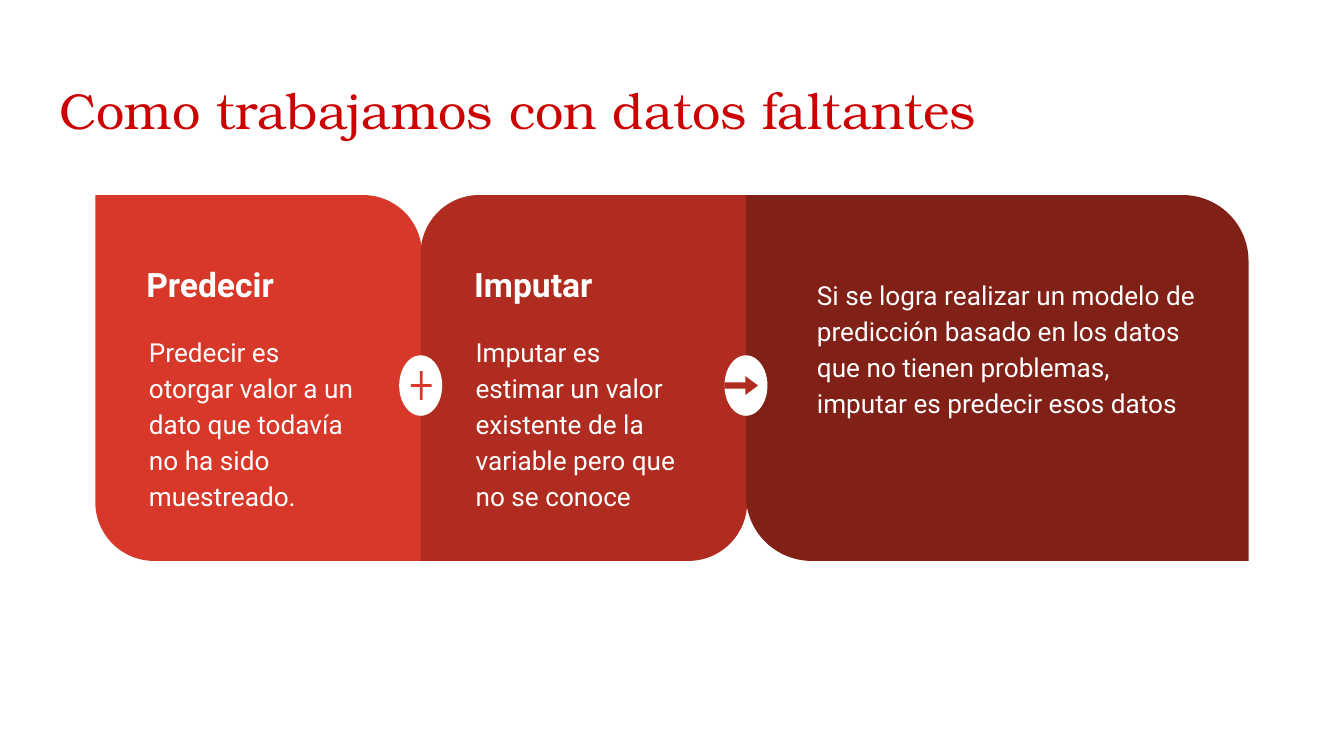
from pptx import Presentation
from pptx import util as u
from pptx.dml.color import RGBColor
from pptx.enum import shapes, text

COLORS = {"title": "CC0000", "predict": "D83829", "impute": "B02C20",
          "result": "802017", "white": "FFFFFF"}
W = u.Inches(10)
H = W * 9 // 16
CX, CY = W / 100, H / 100
LEFT, TOP, COL, ROW = 7.1, 25.8, 24.2, 48.4
KIND = shapes.MSO_SHAPE

prs = Presentation()
prs.slide_width, prs.slide_height = W, H
s = prs.slides.add_slide(prs.slide_layouts[5])


def add_shape(kind, x, y, w, h, color, adj=()):
    sp = s.shapes.add_shape(kind, int(x * CX), int(y * CY), int(w * CX), int(h * CY))
    sp.shadow.inherit = False
    sp.fill.solid()
    sp.fill.fore_color.rgb = RGBColor.from_string(COLORS[color])
    sp.line.fill.background()
    for i, value in enumerate(adj):
        sp.adjustments[i] = value


def write(sp, x, y, w, h, words, size, color="white", font="Roboto", bold=False, body=False):
    sp.left, sp.top, sp.width, sp.height = int(x * CX), int(y * CY), int(w * CX), int(h * CY)
    tf = sp.text_frame
    tf.word_wrap = True
    tf.auto_size = text.MSO_AUTO_SIZE.NONE
    tf.vertical_anchor = text.MSO_ANCHOR.TOP
    tf.margin_left = tf.margin_right = tf.margin_top = tf.margin_bottom = u.Inches(0.1)
    p = tf.paragraphs[0]
    p.alignment = text.PP_ALIGN.LEFT
    if body:
        p.line_spacing = 1.15
        p.space_after = u.Pt(16)
    r = p.add_run()
    r.text = words
    r.font.size = u.Pt(size)
    r.font.name = font
    r.font.bold = bold
    r.font.color.rgb = RGBColor.from_string(COLORS[color])


write(s.shapes.title, 3.4, 8.7, 93.2, 11.2,
      "Como trabajamos con datos faltantes", 27, "title", "TeX Gyre Bonum")

cards = [
    ("predict", 24.3, (0, 0.18), "Predecir", 9.9,
     "Predecir es otorgar valor a un dato que todavía no ha sido muestreado.",
     (10.1, 42.1, 18.1, 15.8)),
    ("impute", 24.3, (0.18, 0), "Imputar", 34.3,
     "Imputar es estimar un valor existente de la variable pero que no se conoce",
     (34.4, 42.1, 18.1, 15.8)),
    ("result", 37.4, (0, 0.18), None, None,
     "Si se logra realizar un modelo de predicción basado en los datos "
     "que no tienen problemas, imputar es predecir esos datos",
     (59.8, 34.5, 30.2, 28.8)),
]
for i, (color, width, adj, heading, heading_x, words, box) in enumerate(cards):
    add_shape(KIND.ROUND_2_DIAG_RECTANGLE, LEFT + i * COL, TOP, width, ROW, color, adj)
    if heading:
        write(s.shapes.add_textbox(0, 0, 0, 0), heading_x, 33.2, 18.1, 14.2,
              heading, 18, bold=True)
    write(s.shapes.add_textbox(0, 0, 0, 0), *box, words, 14, body=True)

middle = 51
badges = [
    (KIND.MATH_PLUS, "predict", -1, 2.1, 5.2, (0.1,)),
    (KIND.RIGHT_ARROW, "impute", -1.6, 2.5, 2.5, (0.32, 0.67)),
]
for i, (kind, color, dx, w, h, adj) in enumerate(badges, 1):
    seam = LEFT + i * COL
    add_shape(KIND.OVAL, seam - 1.6, middle - 4, 3.2, 8, "white")
    add_shape(kind, seam + dx, middle - h / 2, w, h, color, adj)

prs.save("out.pptx")
